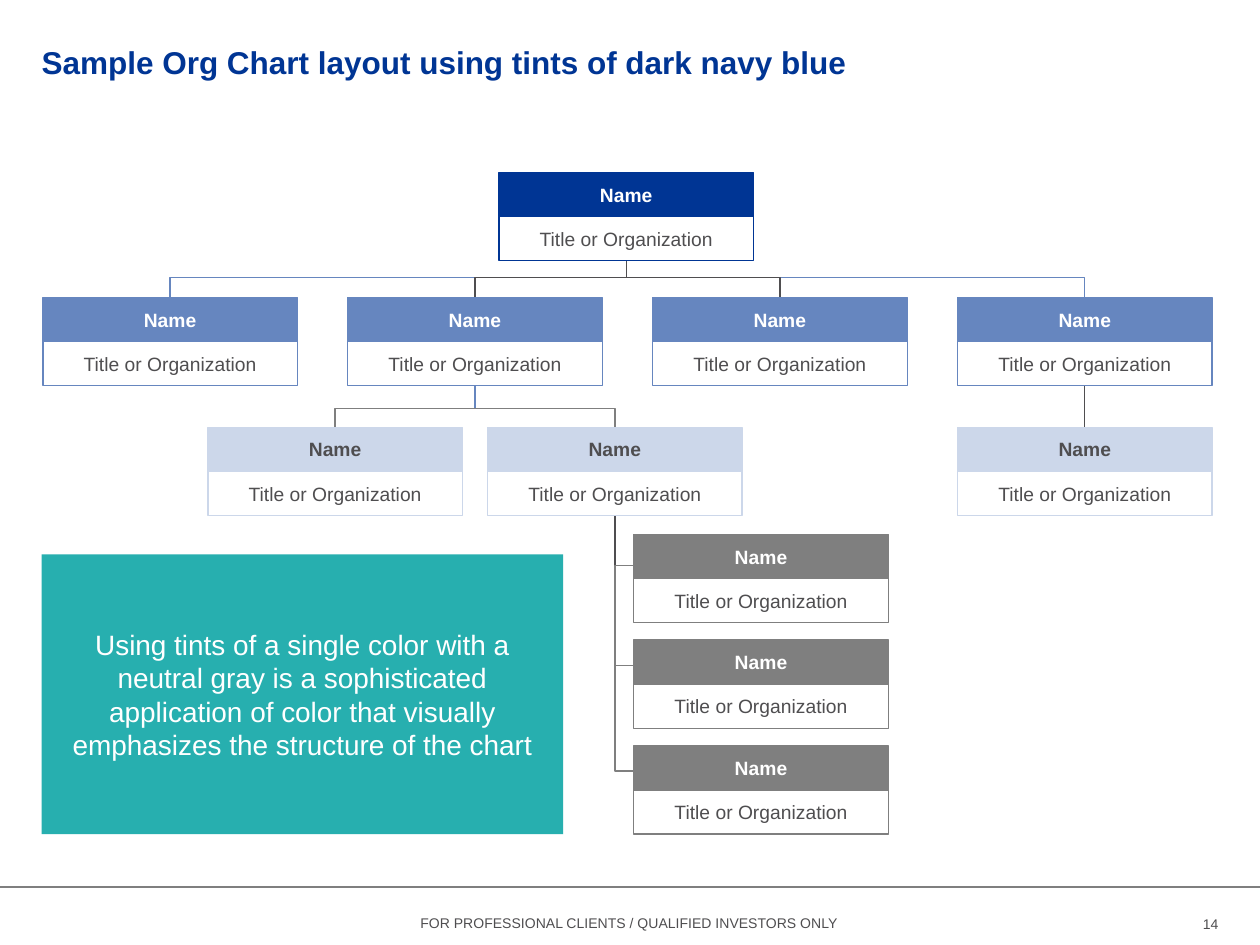
from dataclasses import dataclass

from lxml.etree import SubElement
from pptx import Presentation
from pptx.dml.color import RGBColor
from pptx.enum.shapes import MSO_CONNECTOR as Connector, MSO_SHAPE as Shape
from pptx.enum.text import MSO_ANCHOR as Anchor, PP_ALIGN as Align
from pptx.oxml.ns import qn
from pptx.util import Inches, Pt


@dataclass(frozen=True)
class Theme:
    font: str = "Arial"
    navy: str = "003594"
    blue: str = "6686BF"
    pale: str = "CCD7EA"
    gray: str = "7F7F7F"
    dark: str = "4F4E50"
    teal: str = "27AFAF"
    white: str = "FFFFFF"
    title_size: int = 18
    callout_size: int = 16
    card_size: int = 11
    footer_size: int = 8
    line_width: float = 0.75


THEME = Theme()
CARD_W, HALF_H = 2.02, 0.35
CARD_H = 2 * HALF_H


def write(box, text, size, color, bold=False, align=Align.CENTER, anchor=Anchor.MIDDLE):
    frame = box.text_frame
    frame.text = text
    frame.word_wrap = True
    frame.vertical_anchor = anchor
    para = frame.paragraphs[0]
    para.alignment = align
    font = para.runs[0].font
    font.name, font.size, font.bold = THEME.font, Pt(size), bold
    font.color.rgb = RGBColor.from_string(color)
    return frame


def clear_margins(frame):
    frame.margin_left = frame.margin_right = frame.margin_top = frame.margin_bottom = 0


def style(shape, line=None, fill=None):
    shape.shadow.inherit = False
    if fill:
        shape.fill.solid()
        shape.fill.fore_color.rgb = RGBColor.from_string(fill)
    else:
        shape.fill.background()
    if line:
        shape.line.color.rgb = RGBColor.from_string(line)
        shape.line.width = Pt(THEME.line_width)
    else:
        shape.line.fill.background()


def add_rect(page, left, top, width, height, line=None, fill=None):
    box = page.shapes.add_shape(Shape.RECTANGLE, Inches(left), Inches(top),
                                Inches(width), Inches(height))
    style(box, line, fill)
    return box


def add_line(page, x1, y1, x2, y2, color):
    line = page.shapes.add_connector(Connector.STRAIGHT, Inches(x1), Inches(y1),
                                     Inches(x2), Inches(y2))
    line.line.color.rgb = RGBColor.from_string(color)
    line.line.width = Pt(THEME.line_width)
    SubElement(line._element.spPr, qn("a:effectLst"))


def add_bracket(page, left, top, width, height, color, opens_down=False):
    """Square bracket filling the given box, open to the right or downwards."""
    if opens_down:
        left, top = left + (width - height) / 2, top + (height - width) / 2
        width, height = height, width
    bracket = page.shapes.add_shape(Shape.LEFT_BRACKET, Inches(left), Inches(top),
                                    Inches(width), Inches(height))
    bracket.adjustments[0] = 0
    bracket.rotation = 90 if opens_down else 0
    style(bracket, color)


def add_span_line(page, left, right, top, bottom, color):
    """Thin path that rises, runs across and drops again."""
    builder = page.shapes.build_freeform(Inches(left), Inches(bottom))
    corners = [(left, top), (right, top), (right, bottom)]
    builder.add_line_segments([(Inches(x), Inches(y)) for x, y in corners], close=False)
    style(builder.convert_to_shape(), color)


def add_card(page, left, top, color, name_color=THEME.white):
    header = add_rect(page, left, top, CARD_W, HALF_H, color, color)
    write(header, "Name", THEME.card_size, name_color, bold=True)
    body = add_rect(page, left, top + HALF_H, CARD_W, HALF_H, color)
    write(body, "Title or Organization", THEME.card_size, THEME.dark)


def add_org_chart(page, left, top):
    root_x = left + 3.62
    managers_y, teams_y, staff_y = top + 0.99, top + 2.02, top + 2.87
    managers = [left + 2.42 * i for i in range(4)]
    teams = [left + 1.31, left + 3.53]
    staff_x = left + 4.69
    staff = [staff_y + 0.84 * i for i in range(3)]
    middle = CARD_W / 2

    # Connecting lines
    bus_y = managers_y - 0.16
    add_span_line(page, managers[0] + middle, managers[3] + middle,
                  bus_y, managers_y, THEME.blue)
    add_bracket(page, managers[1] + middle, bus_y, managers[2] - managers[1], 0.16,
                THEME.dark, opens_down=True)
    add_line(page, root_x + middle, top + CARD_H, root_x + middle, bus_y, THEME.dark)
    team_bus = teams_y - 0.15
    add_bracket(page, teams[0] + middle, team_bus, teams[1] - teams[0], 0.15,
                THEME.gray, opens_down=True)
    parent_x = managers[1] + middle
    add_line(page, parent_x, managers_y + CARD_H, parent_x, team_bus, THEME.blue)
    add_line(page, managers[3] + middle, managers_y + CARD_H,
             managers[3] + middle, teams_y, THEME.dark)
    spine_x, spine_y = teams[1] + middle, staff[0] + 0.25
    add_line(page, spine_x, teams_y + CARD_H, spine_x, spine_y, THEME.dark)
    add_bracket(page, spine_x, spine_y, staff_x - spine_x, 1.63, THEME.gray)
    add_line(page, spine_x, staff[1] + 0.2, staff_x, staff[1] + 0.2, THEME.gray)

    # Cards, level by level
    add_card(page, root_x, top, THEME.navy)
    for x in managers:
        add_card(page, x, managers_y, THEME.blue)
    for x in teams + [managers[3]]:
        add_card(page, x, teams_y, THEME.pale, THEME.dark)
    for y in staff:
        add_card(page, staff_x, y, THEME.gray)


def add_title(page, left, top, width, height):
    title = page.shapes.title
    title.left, title.top = Inches(left), Inches(top)
    title.width, title.height = Inches(width), Inches(height)
    clear_margins(write(title, "Sample Org Chart layout using tints of dark navy blue",
                        THEME.title_size, THEME.navy, bold=True, align=Align.LEFT))


def add_callout(page, left, top, width, height):
    box = add_rect(page, left, top, width, height, fill=THEME.teal)
    write(box, "Using tints of a single color with a neutral gray is a "
          "sophisticated application of color that visually emphasizes "
          "the structure of the chart", THEME.callout_size, THEME.white)


def add_footer(page, top):
    add_line(page, 0, top, 10, top, THEME.gray)
    text_y, height = Inches(top + 0.17), Inches(0.24)
    notice = page.shapes.add_textbox(Inches(1.64), text_y, Inches(6.71), height)
    write(notice, "FOR PROFESSIONAL CLIENTS / QUALIFIED INVESTORS ONLY",
          THEME.footer_size, THEME.dark, anchor=Anchor.TOP)
    number = page.shapes.add_textbox(Inches(9.26), text_y, Inches(0.41), height)
    clear_margins(write(number, "14", THEME.footer_size, THEME.dark, align=Align.RIGHT))


def main():
    deck = Presentation()
    deck.slide_width, deck.slide_height = Inches(10), Inches(7.5)
    page = deck.slides.add_slide(deck.slide_layouts[5])
    add_title(page, 0.33, 0.16, 9.33, 0.66)
    add_org_chart(page, 0.34, 1.37)
    add_callout(page, 0.33, 4.4, 4.14, 2.22)
    add_footer(page, 7.04)
    deck.save("out.pptx")


if __name__ == "__main__":
    main()
